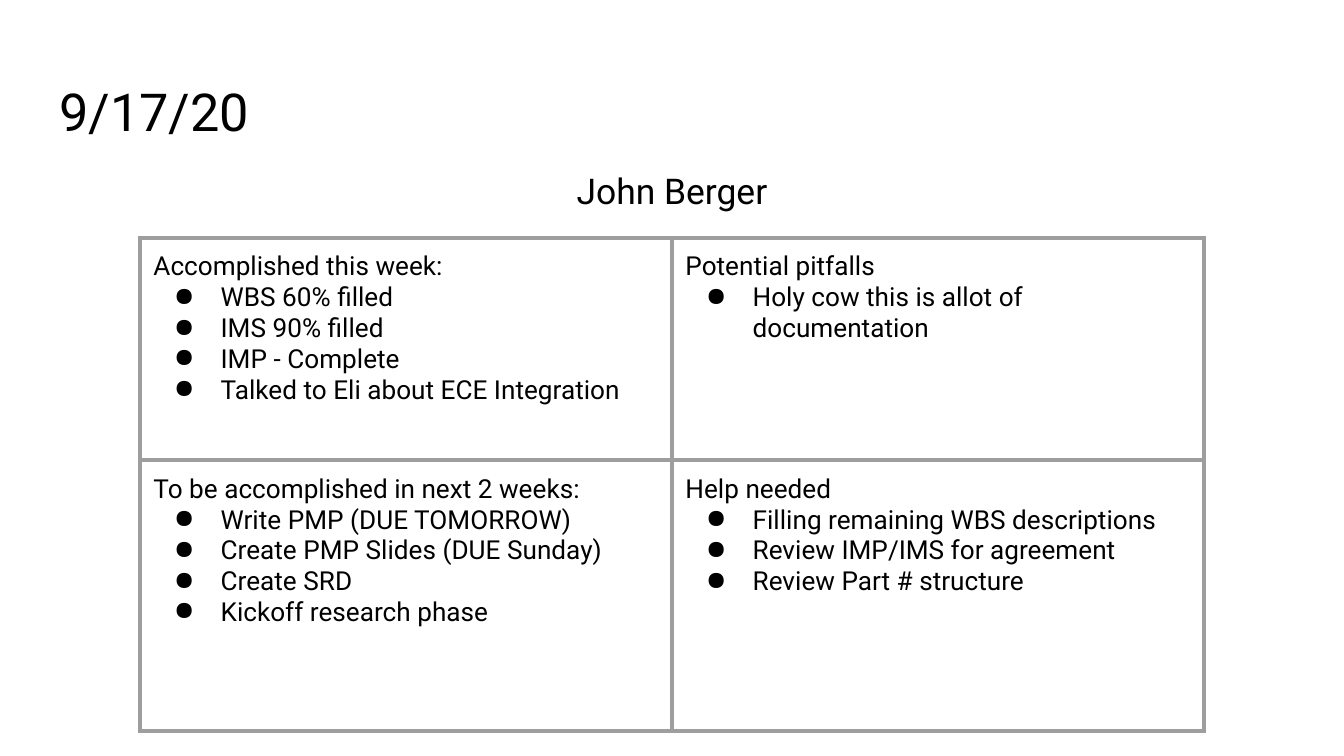
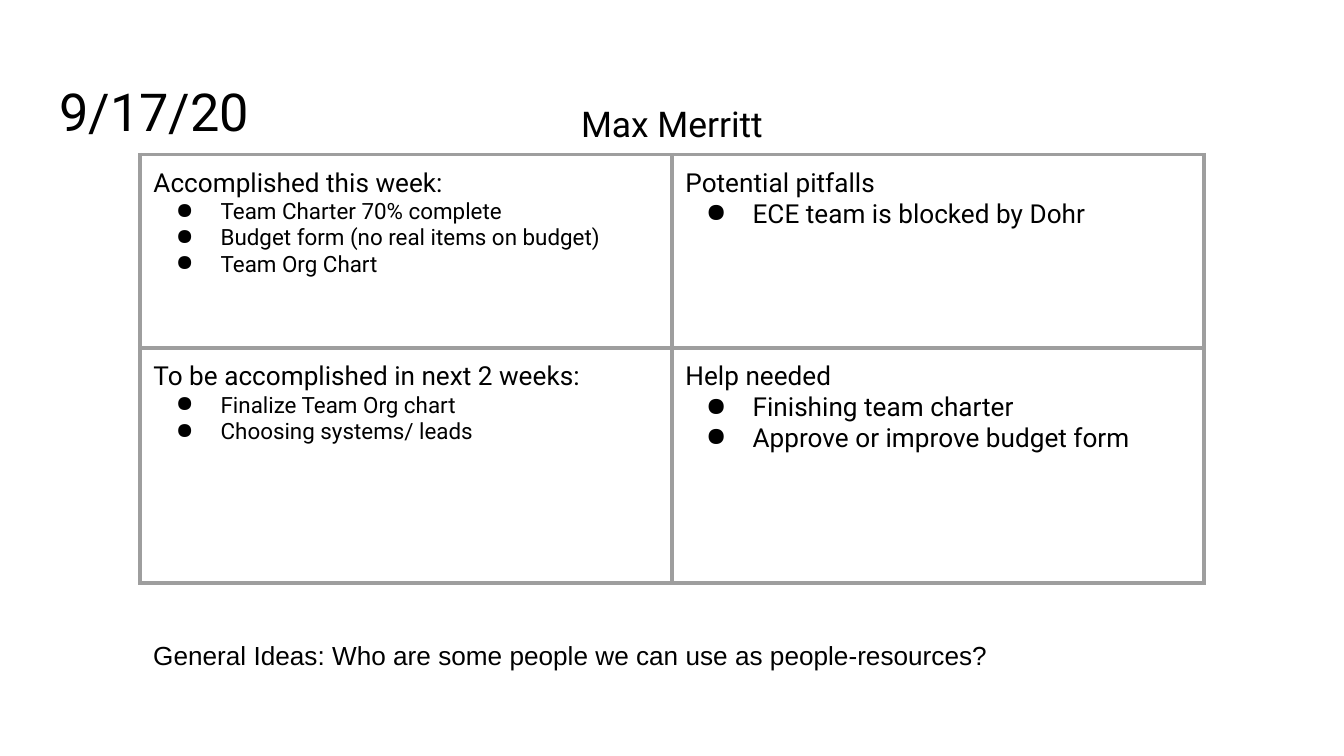
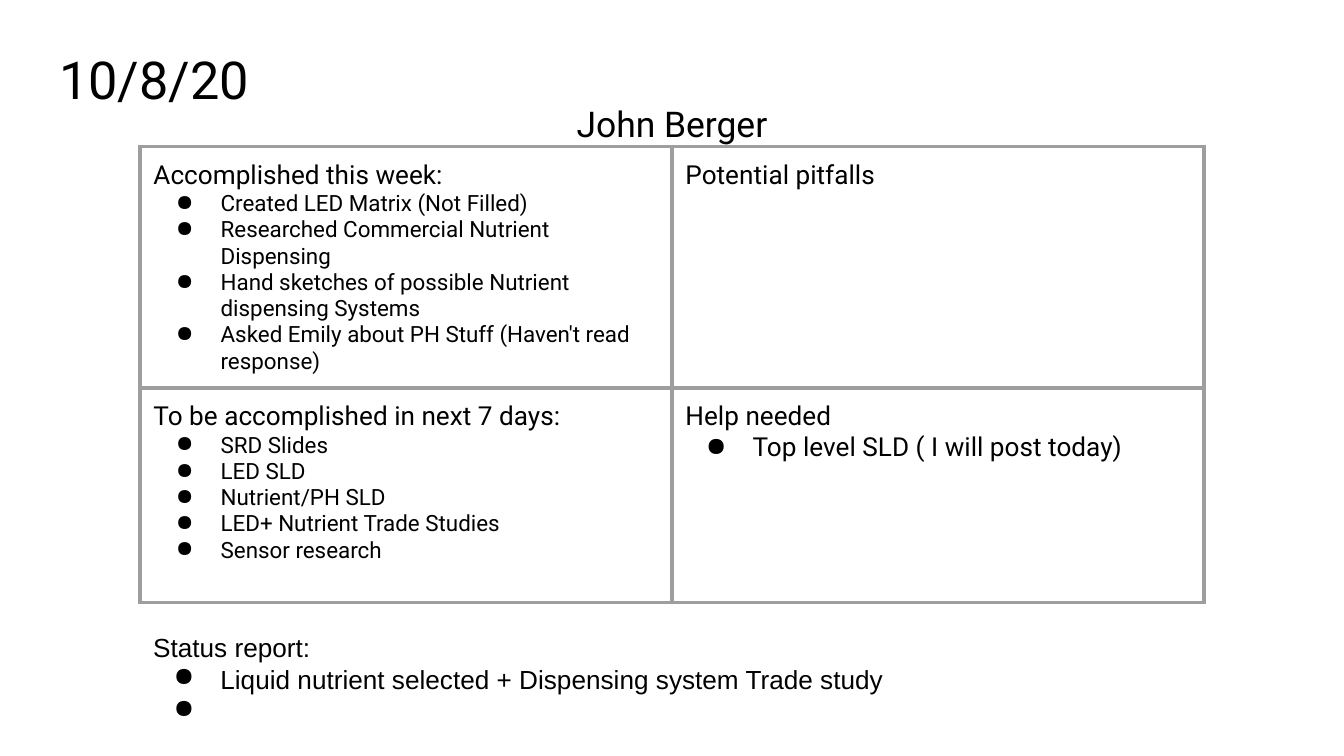
"""Build the weekly status slides, one quadrant table per team member."""
import pptx
import pptx.dml.color
import pptx.enum.text
import pptx.oxml
import pptx.oxml.ns
import pptx.util
import lxml.etree

Pt = pptx.util.Pt
COLORS = {"text": "000000", "border": "9E9E9E", "background": "FFFFFF"}
HEADING_FONT, NOTE_FONT = "Roboto", "Arial"
HEADING_SIZE = 14
INSET = 7.2
BULLET_INDENT = 36
SLIDE_SIZE = (720, 405)
MARGIN, CONTENT_WIDTH = 24.5, 671
TITLE_HEIGHT, NAME_HEIGHT, NOTE_HEIGHT = 45, 269.3, 42.5
TABLE_LEFT, COLUMN_WIDTH = 75, 285

REPORTS = [
    {
        "date": "9/17/20", "date_top": 35.3, "name": "John Berger", "name_top": 80,
        "table_top": 127.6, "row_heights": (119, 145),
        "quadrants": [
            [("Accomplished this week:", 14,
              ["WBS 60% filled", "IMS 90% filled", "IMP - Complete",
               "Talked to Eli about ECE Integration"]),
             ("Potential pitfalls", 14, ["Holy cow this is allot of documentation"])],
            [("To be accomplished in next 2 weeks:", 14,
              ["Write PMP (DUE TOMORROW)", "Create PMP Slides (DUE Sunday)",
               "Create SRD", "Kickoff research phase"]),
             ("Help needed", 14,
              ["Filling remaining WBS descriptions", "Review IMP/IMS for agreement",
               "Review Part # structure"])],
        ],
    },
    {
        "date": "9/17/20", "date_top": 35.3, "name": "Max Merritt", "name_top": 44,
        "table_top": 82.8, "row_heights": (103.7, 126),
        "quadrants": [
            [("Accomplished this week:", 12,
              ["Team Charter 70% complete", "Budget form (no real items on budget)",
               "Team Org Chart"]),
             ("Potential pitfalls", 14, ["ECE team is blocked by Dohr"])],
            [("To be accomplished in next 2 weeks:", 12,
              ["Finalize Team Org chart", "Choosing systems/ leads"]),
             ("Help needed", 14,
              ["Finishing team charter", "Approve or improve budget form"])],
        ],
        "note_top": 335.5,
        "note": ("General Ideas: Who are some people we can use as people-resources?", 14, []),
    },
    {
        "date": "10/8/20", "date_top": 18, "name": "John Berger", "name_top": 44,
        "table_top": 78.5, "row_heights": (129, 115),
        "quadrants": [
            [("Accomplished this week:", 12,
              ["Created LED Matrix (Not Filled)",
               "Researched Commercial Nutrient Dispensing",
               "Hand sketches of possible Nutrient dispensing Systems",
               "Asked Emily about PH Stuff (Haven't read response)"]),
             ("Potential pitfalls", 14, [])],
            [("To be accomplished in next 7 days:", 12,
              ["SRD Slides", "LED SLD", "Nutrient/PH SLD",
               "LED+ Nutrient Trade Studies", "Sensor research"]),
             ("Help needed", 14, ["Top level SLD ( I will post today)"])],
        ],
        "note_top": 331.2,
        "note": ("Status report:", 14,
                 ["Liquid nutrient selected + Dispensing system Trade study", " "]),
    },
]


def add_color(parent, color):
    """Append a solid colour element to an XML parent."""
    lxml.etree.SubElement(parent, pptx.oxml.ns.qn("a:srgbClr"), val=color)


def add_bullet(paragraph, size):
    """Give a paragraph a hanging round bullet."""
    properties = paragraph._p.get_or_add_pPr()
    properties.set("marL", str(Pt(BULLET_INDENT)))
    properties.set("indent", str(-Pt(18 + size / 2)))
    add_color(lxml.etree.SubElement(properties, pptx.oxml.ns.qn("a:buClr")), COLORS["text"])
    lxml.etree.SubElement(properties, pptx.oxml.ns.qn("a:buChar"), char="●")


def write_text(paragraph, text, size=HEADING_SIZE, font=HEADING_FONT, align="LEFT",
               bullet=False, line_spacing=None, space_after=None):
    """Write one formatted run into a paragraph."""
    paragraph.alignment = pptx.enum.text.PP_ALIGN[align]
    if line_spacing:
        paragraph.line_spacing = line_spacing
    if space_after:
        paragraph.space_after = Pt(space_after)
    if bullet:
        add_bullet(paragraph, size)
    run = paragraph.add_run()
    run.text = text
    run.font.size = Pt(size)
    run.font.name = font
    run.font.color.rgb = pptx.dml.color.RGBColor.from_string(COLORS["text"])


def write_list(text_frame, heading, size, items, font=HEADING_FONT):
    """Write a heading followed by its bulleted items."""
    write_text(text_frame.paragraphs[0], heading, font=font)
    for item in items:
        write_text(text_frame.add_paragraph(), item, size=size, font=font, bullet=True)


def set_insets(holder):
    """Set equal insets and top anchoring on a text frame or a cell."""
    holder.margin_left = holder.margin_right = Pt(INSET)
    holder.margin_top = holder.margin_bottom = Pt(INSET)
    holder.vertical_anchor = pptx.enum.text.MSO_ANCHOR.TOP


def prepare_frame(text_frame):
    """Set wrapping, insets and fixed size on a text frame."""
    set_insets(text_frame)
    text_frame.word_wrap = True
    text_frame.auto_size = pptx.enum.text.MSO_AUTO_SIZE.NONE
    return text_frame


def add_text_box(slide, left, top, width, height):
    """Add an empty text box and return its text frame."""
    shape = slide.shapes.add_textbox(Pt(left), Pt(top), Pt(width), Pt(height))
    return prepare_frame(shape.text_frame)


def add_date_title(slide, date, left, top, width, height):
    """Place the report date in the title placeholder."""
    title = slide.shapes.title
    title.left, title.top, title.width, title.height = map(Pt, (left, top, width, height))
    write_text(prepare_frame(title.text_frame).paragraphs[0], date, size=28)


def format_cell(cell):
    """Clear the cell fill and draw its four borders."""
    set_insets(cell)
    cell.fill.background()
    properties = cell._tc.get_or_add_tcPr()
    for index, side in enumerate("LRTB"):
        line = pptx.oxml.parse_xml(
            f'<a:ln{side} {pptx.oxml.ns.nsdecls("a")} w="{Pt(2.25)}">'
            f'<a:solidFill><a:srgbClr val="{COLORS["border"]}"/></a:solidFill></a:ln{side}>')
        properties.insert(index, line)


def add_quadrants(slide, quadrants, left, top, column_width, row_heights):
    """Add the two by two status table."""
    columns = len(quadrants[0])
    table = slide.shapes.add_table(
        len(quadrants), columns, Pt(left), Pt(top),
        Pt(column_width * columns), Pt(sum(row_heights))).table
    table.first_row = table.horz_banding = False
    for column in table.columns:
        column.width = Pt(column_width)
    for row, (height, quadrant_row) in enumerate(zip(row_heights, quadrants)):
        table.rows[row].height = Pt(height)
        for column, quadrant in enumerate(quadrant_row):
            cell = table.cell(row, column)
            format_cell(cell)
            write_list(cell.text_frame, *quadrant)


def add_report(presentation, report):
    """Add one status slide."""
    slide = presentation.slides.add_slide(presentation.slide_layouts[5])
    slide.background.fill.solid()
    slide.background.fill.fore_color.rgb = pptx.dml.color.RGBColor.from_string(
        COLORS["background"])
    add_date_title(slide, report["date"], MARGIN, report["date_top"],
                   CONTENT_WIDTH, TITLE_HEIGHT)
    name_frame = add_text_box(slide, MARGIN, report["name_top"], CONTENT_WIDTH, NAME_HEIGHT)
    write_text(name_frame.paragraphs[0], report["name"], size=19, align="CENTER",
               line_spacing=1.15, space_after=16)
    add_quadrants(slide, report["quadrants"], TABLE_LEFT, report["table_top"],
                  COLUMN_WIDTH, report["row_heights"])
    if "note" in report:
        note_frame = add_text_box(slide, TABLE_LEFT, report["note_top"],
                                  COLUMN_WIDTH * 2, NOTE_HEIGHT)
        write_list(note_frame, *report["note"], font=NOTE_FONT)


def main():
    """Build and save the presentation."""
    presentation = pptx.Presentation()
    presentation.slide_width, presentation.slide_height = map(Pt, SLIDE_SIZE)
    for report in REPORTS:
        add_report(presentation, report)
    presentation.save("out.pptx")


if __name__ == "__main__":
    main()
